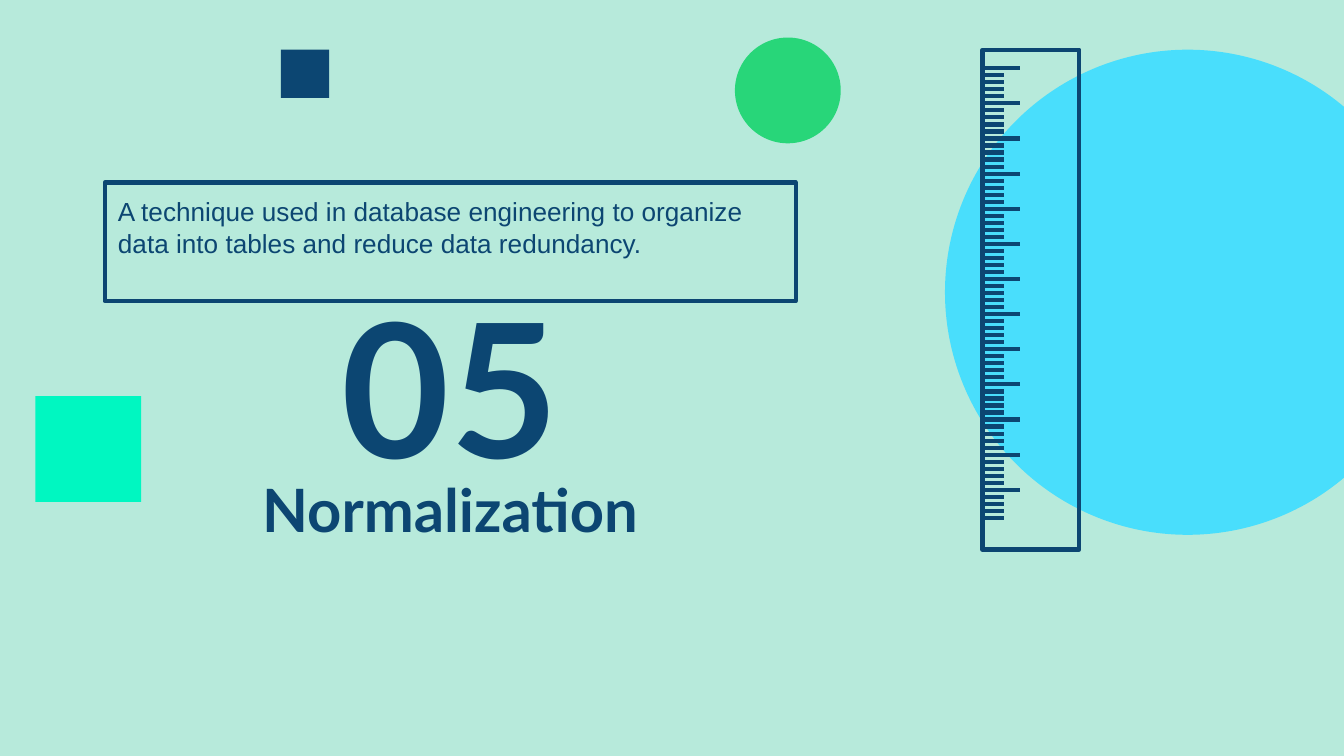
"""Build the section slide that introduces normalization, with a ruler and flat shapes."""
from dataclasses import dataclass
from typing import Optional

from lxml.etree import SubElement
from pptx import Presentation
from pptx.dml.color import RGBColor
from pptx.enum.shapes import MSO_CONNECTOR as Connector, MSO_SHAPE as Shape
from pptx.enum.text import MSO_ANCHOR as Anchor, PP_ALIGN as Align
from pptx.oxml.ns import qn
from pptx.util import Cm, Pt

NAVY, MINT, SKY = "0C4672", "B7EADB", "49DEFC"
AQUA, GREEN = "00F7C1", "28D679"
STROKE = Pt(2.25)
TICKS, TICKS_PER_UNIT = 65, 5
TICK_LEFT, FIRST_TICK, LAST_TICK = 18.59, 1.29, 9.79
LONG_TICK, SHORT_TICK = 0.69, 0.38


@dataclass(frozen=True)
class Box:
    left: float
    top: float
    width: float
    height: float

    def lengths(self) -> tuple:
        return Cm(self.left), Cm(self.top), Cm(self.width), Cm(self.height)


@dataclass(frozen=True)
class Figure:
    kind: Shape
    box: Box
    fill: Optional[str] = None
    line: Optional[str] = None


@dataclass(frozen=True)
class Caption:
    text: str
    box: Box
    size: int
    font: str = "Lato"
    bold: bool = True
    align: Align = Align.CENTER
    anchor: Anchor = Anchor.MIDDLE


def paint(color_format, color: str) -> None:
    color_format.rgb = RGBColor.from_string(color)


def draw_figure(shapes, figure: Figure) -> None:
    drawn = shapes.add_shape(figure.kind, *figure.box.lengths())
    drawn.shadow.inherit = False
    if figure.fill:
        drawn.fill.solid()
        paint(drawn.fill.fore_color, figure.fill)
    else:
        drawn.fill.background()
    if figure.line:
        paint(drawn.line.color, figure.line)
        drawn.line.width = STROKE
    else:
        drawn.line.fill.background()


def draw_caption(shapes, caption: Caption, outlined: bool = False) -> None:
    holder = shapes.add_textbox(*caption.box.lengths())
    if outlined:
        paint(holder.line.color, NAVY)
        holder.line.width = STROKE
    frame = holder.text_frame
    inset = Cm(0.25)
    frame_format = {
        "word_wrap": True,
        "vertical_anchor": caption.anchor,
        "margin_left": inset,
        "margin_right": inset,
        "margin_top": inset,
        "margin_bottom": inset,
    }
    for attribute, value in frame_format.items():
        setattr(frame, attribute, value)
    paragraph = frame.paragraphs[0]
    paragraph.alignment = caption.align
    run = paragraph.add_run()
    run.text = caption.text
    font_format = {"name": caption.font, "size": Pt(caption.size), "bold": caption.bold}
    for attribute, value in font_format.items():
        setattr(run.font, attribute, value)
    paint(run.font.color, NAVY)


def draw_tick(shapes, y: float, length: float) -> None:
    tick = shapes.add_connector(
        Connector.STRAIGHT, Cm(TICK_LEFT), Cm(y), Cm(TICK_LEFT + length), Cm(y)
    )
    paint(tick.line.color, NAVY)
    tick.line.width = STROKE
    SubElement(tick._element.spPr, qn("a:effectLst"))


def draw_ruler(shapes) -> None:
    ruler = shapes.add_group_shape().shapes
    draw_figure(ruler, Figure(Shape.RECTANGLE, Box(18.57, 0.94, 1.83, 9.45), line=NAVY))
    pitch = (LAST_TICK - FIRST_TICK) / (TICKS - 1)
    for index in range(TICKS):
        length = SHORT_TICK if index % TICKS_PER_UNIT else LONG_TICK
        draw_tick(ruler, FIRST_TICK + index * pitch, length)


HEADINGS = (
    Caption("Normalization", Box(2.39, 8.56, 12.24, 2.11), 32),
    Caption("05", Box(3.12, 5.72, 10.77, 3.07), 100),
)
DEFINITION = Caption(
    "A technique used in database engineering to organize data into tables "
    "and reduce data redundancy.",
    Box(1.98, 3.45, 13.06, 2.24), 14, "Arial", False, Align.LEFT, Anchor.TOP,
)
SKY_CIRCLE = Figure(Shape.OVAL, Box(17.86, 0.94, 9.17, 9.17), SKY)
ACCENTS = (
    Figure(Shape.RECTANGLE, Box(0.67, 7.49, 2, 2), AQUA),
    Figure(Shape.OVAL, Box(13.89, 0.71, 2, 2), GREEN),
    Figure(Shape.RECTANGLE, Box(5.31, 0.94, 0.91, 0.91), NAVY),
)


def main() -> None:
    deck = Presentation()
    deck.slide_width, deck.slide_height = Cm(25.4), Cm(14.29)
    slide = deck.slides.add_slide(deck.slide_layouts[6])
    slide.background.fill.solid()
    paint(slide.background.fill.fore_color, MINT)
    for heading in HEADINGS:
        draw_caption(slide.shapes, heading)
    draw_caption(slide.shapes, DEFINITION, outlined=True)
    draw_figure(slide.shapes, SKY_CIRCLE)
    draw_ruler(slide.shapes)
    for accent in ACCENTS:
        draw_figure(slide.shapes, accent)
    deck.save("out.pptx")


if __name__ == "__main__":
    main()
